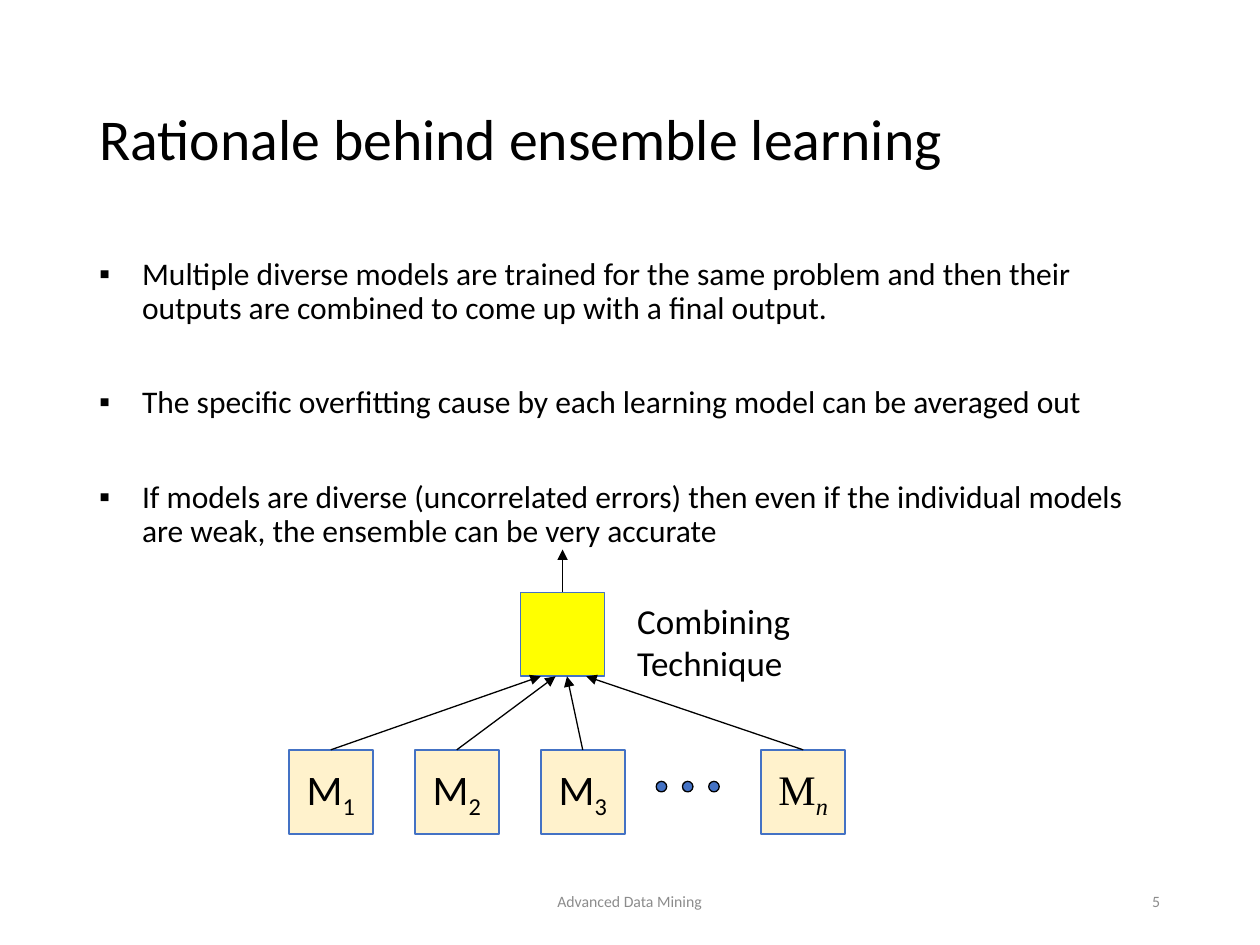
from lxml.etree import SubElement
from pptx import Presentation
from pptx.dml.color import RGBColor
from pptx.enum.shapes import MSO_CONNECTOR as Connector, MSO_SHAPE as Shape
from pptx.enum.text import MSO_ANCHOR as Anchor, PP_ALIGN as Align
from pptx.oxml.ns import qn
from pptx.util import Pt

BLACK, GREY, BLUE = "000000", "8C8C8C", "4472C4"
CREAM, YELLOW = "FFF2CC", "FFFF00"
SIDE = 48  # side of the model and combiner squares
BULLETS = [
    "Multiple diverse models are trained for the same problem and then their "
    "outputs are combined to come up with a final output.",
    "The specific overfitting cause by each learning model can be averaged out",
    "If models are diverse (uncorrelated errors) then even if the individual "
    "models are weak, the ensemble can be very accurate",
]
# subscript, font, left edge in the diagram, arrow end along the combiner
MODELS = [
    ("1", "Calibri", 0, 11.5),
    ("2", "Calibri", 72, 20),
    ("3", "Calibri", 144, 26.5),
    ("n", "Times New Roman", 270, 37.5),
]


def rgb(code):
    return RGBColor.from_string(code)


def set_all(target, **values):
    for name, value in values.items():
        setattr(target, name, value)


def place(part, left, top, width, height):
    set_all(part, left=Pt(left), top=Pt(top), width=Pt(width), height=Pt(height))


def add_run(paragraph, text, size, color=BLACK, font="Calibri"):
    run = paragraph.add_run()
    run.text = text
    set_all(run.font, name=font, size=Pt(size))
    run.font.color.rgb = rgb(color)
    return run


def add_title(slide, text, box):
    title = slide.shapes.title
    place(title, *box)
    title.text_frame.vertical_anchor = Anchor.MIDDLE
    heading = title.text_frame.paragraphs[0]
    set_all(heading, alignment=Align.LEFT, line_spacing=0.9)
    add_run(heading, text, 33)


def add_bullets(slide, items, box, indent=24.5):
    body = slide.placeholders[1]
    place(body, *box)
    frame = body.text_frame
    for number, item in enumerate(items):
        bullet = frame.add_paragraph() if number else frame.paragraphs[0]
        set_all(bullet, line_spacing=0.9, space_before=Pt(34.5 if number else 7.5))
        add_run(bullet, item, 18)
        properties = bullet._p.get_or_add_pPr()
        properties.set("marL", str(Pt(indent)))
        properties.set("indent", str(-Pt(indent)))
        SubElement(properties, qn("a:buChar")).set("char", "▪")


def add_label(slide, text, box, size, color=BLACK, wrap=True, **paragraph_format):
    frame = slide.shapes.add_textbox(*map(Pt, box)).text_frame
    frame.word_wrap = wrap
    line = frame.paragraphs[0]
    set_all(line, **paragraph_format)
    for number, part in enumerate(text.split("\n")):
        if number:
            line.add_line_break()
        add_run(line, part, size, color)
    return frame


def add_footer(slide, box):
    left, top, width, height = box
    for text, start, span, align in [
        ("Advanced Data Mining", 188.5, 243.5, Align.CENTER),
        ("5", 458.5, 162, Align.RIGHT),
    ]:
        frame = add_label(slide, text, (left + start, top, span, height), 9,
                          GREY, alignment=align)
        frame.vertical_anchor = Anchor.MIDDLE


def add_figure(slide, kind, box, fill, outline, weight):
    figure = slide.shapes.add_shape(kind, *map(Pt, box))
    figure.shadow.inherit = False
    figure.fill.solid()
    figure.fill.fore_color.rgb = rgb(fill)
    figure.line.color.rgb = rgb(outline)
    figure.line.width = Pt(weight)
    return figure


def add_model(slide, left, top, subscript, font):
    model = add_figure(slide, Shape.RECTANGLE, (left, top, SIDE, SIDE), CREAM, BLUE, 1)
    set_all(model.text_frame, word_wrap=False, vertical_anchor=Anchor.MIDDLE)
    name = model.text_frame.paragraphs[0]
    name.alignment = Align.CENTER
    add_run(name, "M", 24, font=font)
    index = add_run(name, subscript, 24, font=font)
    index._r.get_or_add_rPr().set("baseline", "-25000")
    if subscript == "n":
        index.font.italic = True
    return model


def add_arrow_from_top(slide, source, end_x, end_y):
    arrow = slide.shapes.add_connector(
        Connector.STRAIGHT, source.left, source.top, Pt(end_x), Pt(end_y))
    arrow.begin_connect(source, 0)
    arrow.line.color.rgb = rgb(BLACK)
    arrow.line.width = Pt(0.75)
    SubElement(arrow.line._get_or_add_ln(), qn("a:tailEnd")).set("type", "triangle")
    SubElement(arrow._element.spPr, qn("a:effectLst"))


def add_ensemble(slide, left, top):
    """Models at the bottom feed a combiner, whose output leaves at the top."""
    combiner_left, combiner_top = left + 132.5, top + 24.5
    models_top = top + 114.5
    combiner = add_figure(slide, Shape.RECTANGLE,
                          (combiner_left, combiner_top, SIDE, SIDE), YELLOW, BLUE, 1)
    add_label(slide, "Combining\nTechnique", (left + 192, top + 25, 188.5, 31.5),
              20, wrap=False)
    for number in range(3):
        dot = (left + 210 + 15 * number, models_top + 18, 6, 6)
        add_figure(slide, Shape.OVAL, dot, BLUE, BLACK, 0.75)
    for subscript, font, offset, arrow_end in MODELS:
        model = add_model(slide, left + offset, models_top, subscript, font)
        add_arrow_from_top(slide, model, combiner_left + arrow_end, combiner_top + SIDE)
    add_arrow_from_top(slide, combiner, combiner_left + SIDE / 2, top)


def main():
    deck = Presentation()
    set_all(deck, slide_width=Pt(720), slide_height=Pt(540))
    slide = deck.slides.add_slide(deck.slide_layouts[1])
    add_title(slide, "Rationale behind ensemble learning", (49.5, 28.75, 621, 104.5))
    add_bullets(slide, BULLETS, (49.5, 144, 621, 342.5))
    add_footer(slide, (49.5, 500.5, 621, 28.75))
    add_ensemble(slide, 165, 314)
    deck.save("out.pptx")


if __name__ == "__main__":
    main()
